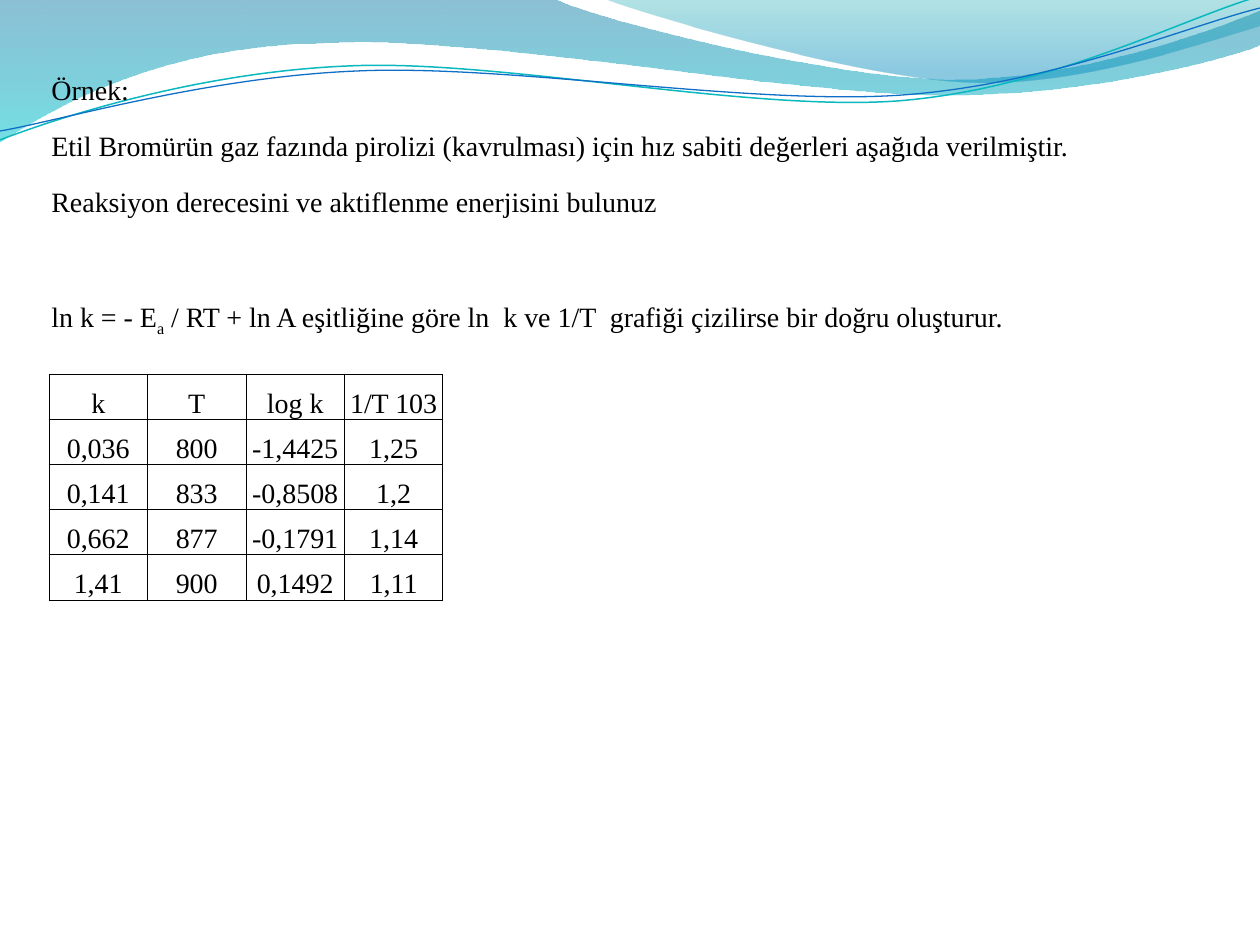
"""Build a slide with a rate constant exercise, its data table and a wave header."""
from dataclasses import dataclass
from math import cos, radians, sin

from lxml.etree import SubElement, fromstring
from pptx import Presentation
from pptx.dml.color import RGBColor
from pptx.enum.text import MSO_ANCHOR, PP_ALIGN
from pptx.oxml.ns import nsdecls, qn
from pptx.util import Pt

PX = 914400 // 126


@dataclass(frozen=True)
class Theme:
    font: str = "Times New Roman"
    size: float = 16
    ink: str = "000000"
    border: float = 0.5
    line_spacing: float = 1.5
    gap: float = 3.2
    wide_gap: float = 35.2


THEME = Theme()

STATEMENT = [
    (THEME.gap, [("Örnek:", 0)]),
    (THEME.gap, [("Etil Bromürün gaz fazında pirolizi (kavrulması) için hız sabiti "
                  "değerleri aşağıda verilmiştir.", 0)]),
    (THEME.gap, [("Reaksiyon derecesini ve aktiflenme enerjisini bulunuz", 0)]),
    (THEME.wide_gap, [("ln k = - E", 0), ("a", -25000),
                      (" / RT + ln A eşitliğine göre ln  k ve 1/T  grafiği çizilirse "
                       "bir doğru oluşturur.", 0)]),
]
STATEMENT_BOX = (39, 50, 1158, 847)

RATES = [
    ("k", "T", "log k", "1/T 103"),
    ("0,036", "800", "-1,4425", "1,25"),
    ("0,141", "833", "-0,8508", "1,2"),
    ("0,662", "877", "-0,1791", "1,14"),
    ("1,41", "900", "0,1492", "1,11"),
]
RATES_BOX = (49, 374, 394, 226)

BANDS = [
    ([[(0, 0)], [(554, -1)],
      [(600, 21), (837, 79), (955, 79)], [(1075, 79), (1207, 33), (1260, 11)], [(1261, 45)],
      [(1239, 55), (1096, 96), (940, 95)], [(784, 94), (481, 35), (324, 43)],
      [(163, 45), (58, 105), (-1, 142)]],
     [(0, "0074A1", 45), (1, "00C6CF", 55)]),
    ([[(604, -1)], [(641, 14), (859, 78), (969, 82)], [(1079, 87), (1211, 40), (1260, 26)],
      [(1260, 0)]],
     [(0, "00A1A9", 30), (0.8, "008BBF", 45)]),
]
STRANDS = [
    ([[(0, 140)], [(60, 117), (199, 72), (349, 66)], [(498, 59), (747, 112), (898, 101)],
      [(1050, 89), (1182, 19), (1257, -3)]], (629, 72), "0AB8BF", 0.85),
    ([[(0, 131)], [(59, 121), (207, 77), (357, 71)], [(508, 64), (752, 106), (903, 95)],
      [(1053, 84), (1187, 26), (1260, 8)]], (629, 74), "0F6FC6", 0.75),
]
STRAND_TILT = 2.7


def emu(lengths):
    return [length * PX for length in lengths]


def add_text(paragraph, text, baseline=0, size=THEME.size, color=THEME.ink):
    run = paragraph.add_run()
    run.text = text
    run.font.name = THEME.font
    run.font.size = Pt(size)
    run.font.color.rgb = RGBColor.from_string(color)
    if baseline:
        run.font._element.set("baseline", str(baseline))


def turn(point, pivot, degrees):
    dx, dy = point[0] - pivot[0], point[1] - pivot[1]
    c, s = cos(radians(degrees)), sin(radians(degrees))
    return pivot[0] + dx * c - dy * s, pivot[1] + dx * s + dy * c


def add_outline(slide, segments, close):
    first, *rest = [tuple(round(v * PX) for v in point)
                    for segment in segments for point in segment]
    builder = slide.shapes.build_freeform(*first)
    builder.add_line_segments(rest, close=close)
    outline = builder.convert_to_shape()
    outline.shadow.inherit = False
    steps = iter(list(outline._element.iter(qn("a:lnTo"))))
    for segment in segments[1:]:
        corners = [next(steps) for _ in segment]
        if len(corners) == 3:
            curve = corners[0]
            bend = curve.makeelement(qn("a:cubicBezTo"))
            curve.addprevious(bend)
            for corner in corners:
                bend.append(corner[0])
                corner.getparent().remove(corner)
    return outline


def add_band(slide, segments, stops):
    band = add_outline(slide, segments, True)
    band.line.fill.background()
    band.fill.gradient()
    band.fill.gradient_angle = 270
    for stop, (position, color, _) in zip(band.fill.gradient_stops, stops):
        stop.position = position
        stop.color.rgb = RGBColor.from_string(color)
    tints = band._element.spPr.iter(qn("a:srgbClr"))
    for tint, (_, _, opacity) in zip(tints, stops):
        SubElement(tint, qn("a:alpha"), val=str(opacity * 1000))


def add_strand(slide, segments, pivot, color, width):
    level = [[turn(point, pivot, STRAND_TILT) for point in segment] for segment in segments]
    strand = add_outline(slide, level, False)
    strand.rotation = 360 - STRAND_TILT
    strand.fill.background()
    strand.line.color.rgb = RGBColor.from_string(color)
    strand.line.width = Pt(width)


def add_statement(slide):
    frame = slide.shapes.add_textbox(*emu(STATEMENT_BOX)).text_frame
    frame.word_wrap = True
    for index, (space, runs) in enumerate(STATEMENT):
        paragraph = frame.add_paragraph() if index else frame.paragraphs[0]
        paragraph.line_spacing = THEME.line_spacing
        paragraph.space_before = Pt(space)
        for text, baseline in runs:
            add_text(paragraph, text, baseline=baseline)


def add_borders(cell):
    properties = cell._tc.get_or_add_tcPr()
    for index, side in enumerate("LRTB"):
        properties.insert(index, fromstring(
            f'<a:ln{side} {nsdecls("a")} w="{Pt(THEME.border)}"><a:solidFill>'
            f'<a:srgbClr val="{THEME.ink}"/></a:solidFill></a:ln{side}>'))


def add_rates(slide):
    box = emu(RATES_BOX)
    table = slide.shapes.add_table(len(RATES), len(RATES[0]), *box).table
    table.first_row = table.horz_banding = False
    for row, values in enumerate(RATES):
        for column, value in enumerate(values):
            cell = table.cell(row, column)
            cell.fill.background()
            cell.vertical_anchor = MSO_ANCHOR.BOTTOM
            cell.margin_left = cell.margin_right = cell.margin_top = cell.margin_bottom = 0
            add_borders(cell)
            paragraph = cell.text_frame.paragraphs[0]
            paragraph.alignment = PP_ALIGN.CENTER
            add_text(paragraph, value)


def main():
    deck = Presentation()
    deck.slide_width, deck.slide_height = emu((1260, 945))
    slide = deck.slides.add_slide(deck.slide_layouts[6])
    for band in BANDS:
        add_band(slide, *band)
    for strand in STRANDS:
        add_strand(slide, *strand)
    add_statement(slide)
    add_rates(slide)
    deck.save("out.pptx")


if __name__ == "__main__":
    main()
